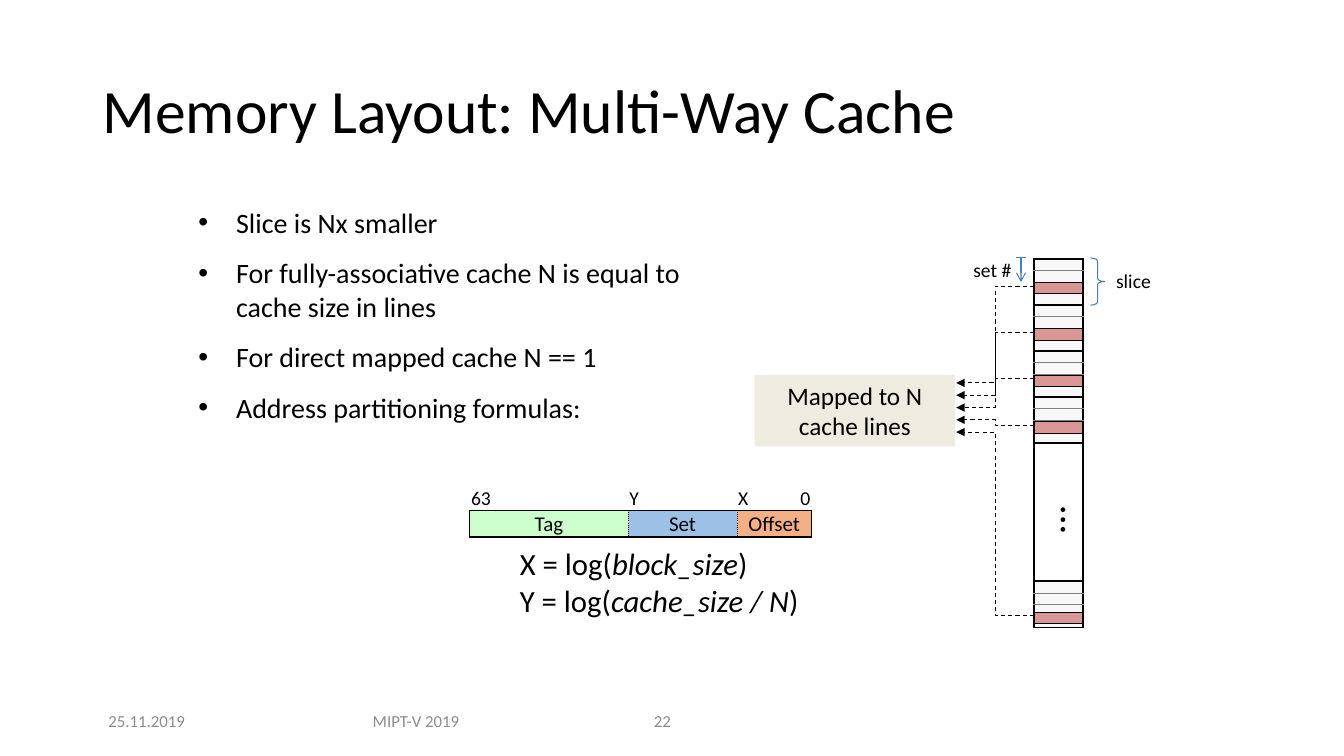
from lxml import etree
from pptx import Presentation
from pptx.dml.color import RGBColor
from pptx.enum.dml import MSO_LINE
from pptx.enum.shapes import MSO_CONNECTOR, MSO_SHAPE
from pptx.enum.text import MSO_ANCHOR, PP_ALIGN
from pptx.oxml.ns import qn
from pptx.util import Cm, Pt

LEFT, CENTER, RIGHT = PP_ALIGN.LEFT, PP_ALIGN.CENTER, PP_ALIGN.RIGHT
TOP, MIDDLE = MSO_ANCHOR.TOP, MSO_ANCHOR.MIDDLE
STRAIGHT, ELBOW = MSO_CONNECTOR.STRAIGHT, MSO_CONNECTOR.ELBOW
RECT, BRACE = MSO_SHAPE.RECTANGLE, MSO_SHAPE.RIGHT_BRACE
DASH = MSO_LINE.DASH

BLACK = RGBColor(0x00, 0x00, 0x00)
WHITE = RGBColor(0xFF, 0xFF, 0xFF)
GRAY = RGBColor(0x80, 0x80, 0x80)
FOOTER = RGBColor(0x8C, 0x8C, 0x8C)
PALE = RGBColor(0xF8, 0xF8, 0xF8)
BEIGE = RGBColor(0xEE, 0xEC, 0xE1)
RED = RGBColor(0xD9, 0x96, 0x94)
GREEN = RGBColor(0xCC, 0xFF, 0xCC)
BLUE = RGBColor(0x9B, 0xC2, 0xE6)
ORANGE = RGBColor(0xF4, 0xB0, 0x84)
LINE_BLUE = RGBColor(0x4B, 0x7E, 0xBC)

THICK, THIN = (BLACK, 1.5, "solid"), (GRAY, 0.5, "solid")
FRAME, DOTTED = (BLACK, 1, "solid"), (BLACK, 0.5, "sysDot")
HAIR = (BLACK, 0.5, "solid")


def write(p, text, size=20, color=BLACK, italic=False, font="Calibri"):
    r = p.add_run()
    r.text = text
    r.font.name, r.font.size, r.font.italic = font, Pt(size), italic
    r.font.color.rgb = color


def set_borders(cell, **edges):
    """Set the edges L, R, T and B; an edge left out is drawn without a line."""
    tcPr = cell._tc.get_or_add_tcPr()
    for i, side in enumerate("LRTB"):
        ln = etree.Element(qn("a:ln" + side))
        tcPr.insert(i, ln)
        if side not in edges:
            etree.SubElement(ln, qn("a:noFill"))
            continue
        color, width, dash = edges[side]
        ln.set("w", str(Pt(width)))
        fill = etree.SubElement(ln, qn("a:solidFill"))
        etree.SubElement(fill, qn("a:srgbClr"), val=str(color))
        etree.SubElement(ln, qn("a:prstDash"), val=dash)


class Deck:
    def __init__(self):
        self.prs = Presentation()
        self.prs.slide_width, self.prs.slide_height = Cm(33.87), Cm(19.05)
        self.s = self.prs.slides.add_slide(self.prs.slide_layouts[6])

    def text(self, x, y, w, h, paragraphs, align=LEFT, anchor=TOP, wrap=True,
             spacing=None, before=0, bullet=False, rotation=0, **fmt):
        """Each paragraph is a string or a list of (text, italic) pairs."""
        sp = self.s.shapes.add_textbox(Cm(x), Cm(y), Cm(w), Cm(h))
        sp.rotation = rotation
        tf = sp.text_frame
        tf.word_wrap, tf.vertical_anchor = wrap, anchor
        for i, runs in enumerate(paragraphs):
            p = tf.add_paragraph() if i else tf.paragraphs[0]
            p.alignment, p.line_spacing = align, spacing
            if i and before:
                p.space_before = Pt(before)
            if bullet:
                pPr = p._p.get_or_add_pPr()
                pPr.set("marL", str(Cm(0.95)))
                pPr.set("indent", str(-Cm(0.95)))
                etree.SubElement(pPr, qn("a:buFont"), typeface="Arial")
                etree.SubElement(pPr, qn("a:buChar"), char="•")
            for text, italic in [(runs, False)] if isinstance(runs, str) else runs:
                write(p, text, italic=italic, **fmt)

    def shape(self, kind, x, y, w, h, fill=None, line=None, text=None, size=18):
        sp = self.s.shapes.add_shape(kind, Cm(x), Cm(y), Cm(w), Cm(h))
        sp.shadow.inherit = False
        if fill is None:
            sp.fill.background()
        else:
            sp.fill.solid()
            sp.fill.fore_color.rgb = fill
        if line is None:
            sp.line.fill.background()
        else:
            sp.line.color.rgb, sp.line.width = line, Pt(0.75)
        if text:
            tf = sp.text_frame
            tf.word_wrap = True
            tf.paragraphs[0].alignment = CENTER
            write(tf.paragraphs[0], text, size=size)
        return sp

    def connector(self, kind, x1, y1, x2, y2, color, dash=None, arrow=None):
        c = self.s.shapes.add_connector(kind, Cm(x1), Cm(y1), Cm(x2), Cm(y2))
        c.line.color.rgb, c.line.width = color, Pt(0.75)
        if dash:
            c.line.dash_style = dash
        if arrow:
            etree.SubElement(c.line._get_or_add_ln(), qn("a:tailEnd"), type=arrow)
        etree.SubElement(c._element.spPr, qn("a:effectLst"))

    def table(self, x, y, widths, heights):
        gf = self.s.shapes.add_table(len(heights), len(widths), Cm(x), Cm(y),
                                     Cm(sum(widths)), Cm(sum(heights)))
        t = gf.table
        t.first_row = t.horz_banding = False
        for col, w in zip(t.columns, widths):
            col.width = Cm(w)
        for row, h in zip(t.rows, heights):
            row.height = Cm(h)
        return t

    def cell(self, c, fill, text="", align=LEFT, size=14, **edges):
        c.margin_left = c.margin_right = c.margin_top = Cm(0.03 if text else 0)
        c.margin_bottom = 0
        c.vertical_anchor = MIDDLE
        c.fill.solid()
        c.fill.fore_color.rgb = fill
        set_borders(c, **edges)
        p = c.text_frame.paragraphs[0]
        p.alignment = align
        if text:
            write(p, text, size=size)
        else:
            p._p.get_or_add_endParaRPr().set("sz", "100")


def address_fields(d):
    t = d.table(11.84, 12.24, [3.99, 1.37, 1.37, 0.94, 0.94], [0.6, 0.66])
    for i, bit in enumerate(["63", "Y", "", "X", "0"]):
        d.cell(t.cell(0, i), WHITE, bit, RIGHT if bit == "0" else LEFT, B=FRAME)
    fields = [("Tag", GREEN, 0, 0), ("Set", BLUE, 1, 2), ("Offset", ORANGE, 3, 4)]
    for name, fill, first, last in fields:
        edges = dict(L=DOTTED if first else FRAME, T=FRAME,
                     R=FRAME if last == 4 else DOTTED, B=FRAME)
        if last > first:
            t.cell(1, first).merge(t.cell(1, last))
            d.cell(t.cell(1, last), fill, **edges)
        d.cell(t.cell(1, first), fill, name, CENTER, 15, **edges)


def cache(d, x, width, rows=32, slice_rows=4, gap=range(16, 28)):
    """Column of cache lines in slices; the rows in gap stay empty."""
    t = d.table(x, 6.53, [width], [0.29] * rows)
    for i in range(rows):
        edges = dict(L=THICK, R=THICK)
        if i in gap:
            if i == gap[0]:
                edges["T"] = THICK
            if i == gap[-1]:
                edges["B"] = THICK
        else:
            edges["T"] = THIN if i % slice_rows else THICK
            edges["B"] = THIN if (i + 1) % slice_rows else THICK
        d.cell(t.cell(i, 0), WHITE if i in gap else PALE, **edges)


def main():
    d = Deck()
    d.text(2.34, 1.02, 29.21, 3.68, ["Memory Layout: Multi-Way Cache"],
           anchor=MIDDLE, spacing=0.9, size=44)
    d.text(4.75, 5.05, 13.13, 6.45, [
        "Slice is Nx smaller",
        "For fully-associative cache N is equal to cache size in lines",
        "For direct mapped cache N == 1",
        "Address partitioning formulas:"], bullet=True, before=12)
    address_fields(d)
    d.text(12.85, 13.61, 8.97, 2.13, [
        [("X = log(", False), ("block_size", True), (")", False)],
        [("Y = log(", False), ("cache_size / N", True), (")", False)]], size=22)

    cache_x, cache_w = 26.06, 1.24
    cache(d, cache_x, cache_w)
    d.text(25.86, 12.37, 1.19, 1.45, ["…"], wrap=False, rotation=270, size=28)

    d.shape(RECT, 19.02, 9.45, 5.05, 1.8, BEIGE, text="Mapped to N cache lines")
    mapped_tops = [7.11 + 1.17 * i for i in range(4)] + [15.42]
    for i, top in enumerate(mapped_tops):
        t = d.table(cache_x, top, [cache_w], [0.29])
        d.cell(t.cell(0, 0), RED, L=THICK, R=THICK, T=HAIR, B=HAIR)
        d.connector(ELBOW, cache_x, top + 0.1, 24.1, 9.65 + 0.31 * i,
                    BLACK, DASH, "triangle")

    brace = d.shape(BRACE, 27.48, 6.5, 0.36, 1.19, line=LINE_BLUE)
    brace.adjustments[0] = 0.22
    label = dict(align=CENTER, anchor=MIDDLE, spacing=0.75, size=14)
    d.text(27.79, 6.76, 1.55, 0.74, ["slice"], **label)
    d.text(24.26, 6.5, 1.5, 0.71, ["set #"], wrap=False, **label)
    d.connector(STRAIGHT, 25.73, 6.5, 25.73, 7.11, LINE_BLUE, arrow="arrow")
    d.connector(STRAIGHT, 25.86, 6.5, 25.6, 6.5, LINE_BLUE)

    for x, w, text, align in [(2.34, 2.72, "25.11.2019", CENTER),
                              (8.48, 4.01, "MIPT-V 2019", CENTER),
                              (16.23, 2.01, "22", LEFT)]:
        d.text(x, 17.65, w, 1.02, [text], align=align, anchor=MIDDLE,
               size=12, color=FOOTER)
    d.prs.save("out.pptx")


if __name__ == "__main__":
    main()
